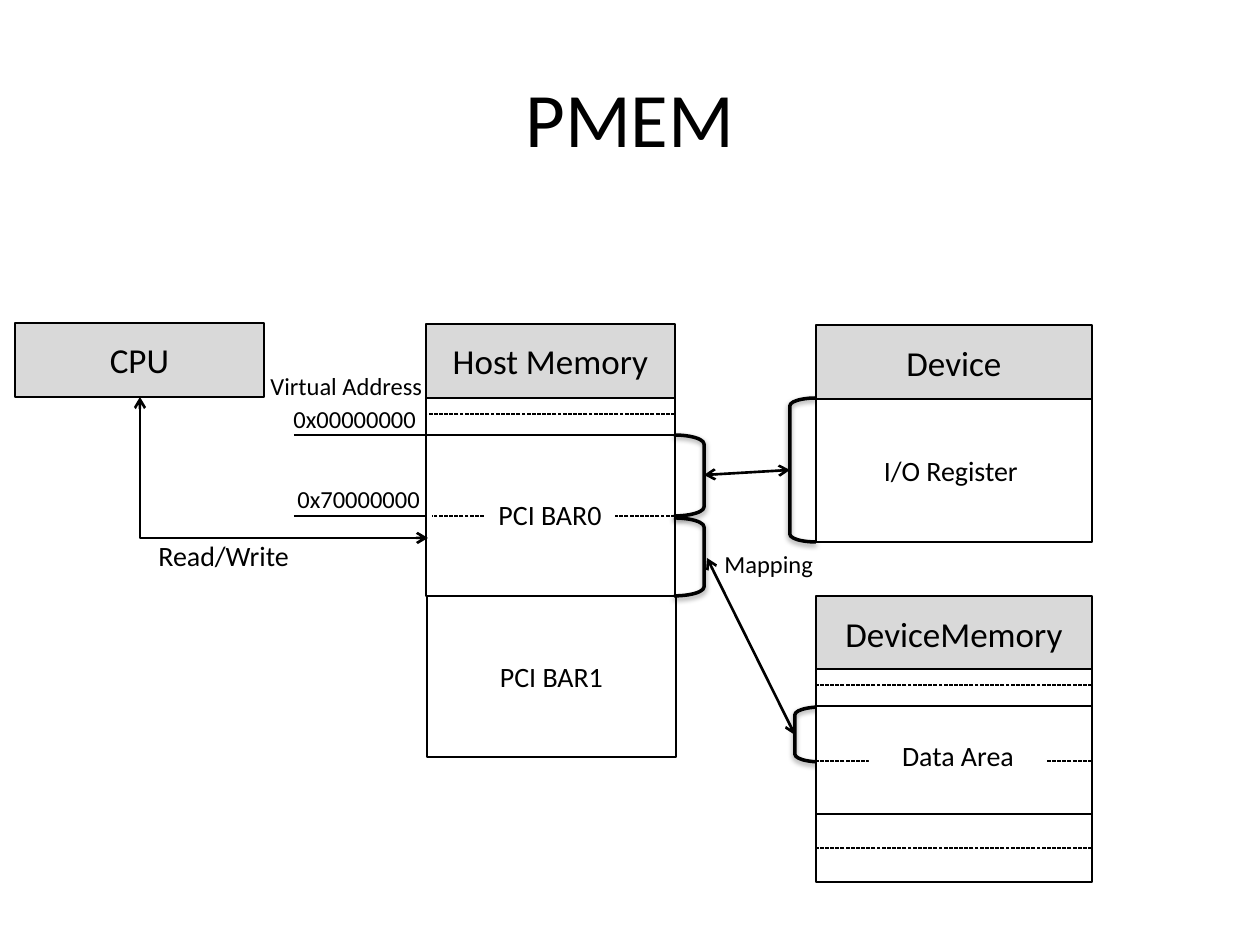
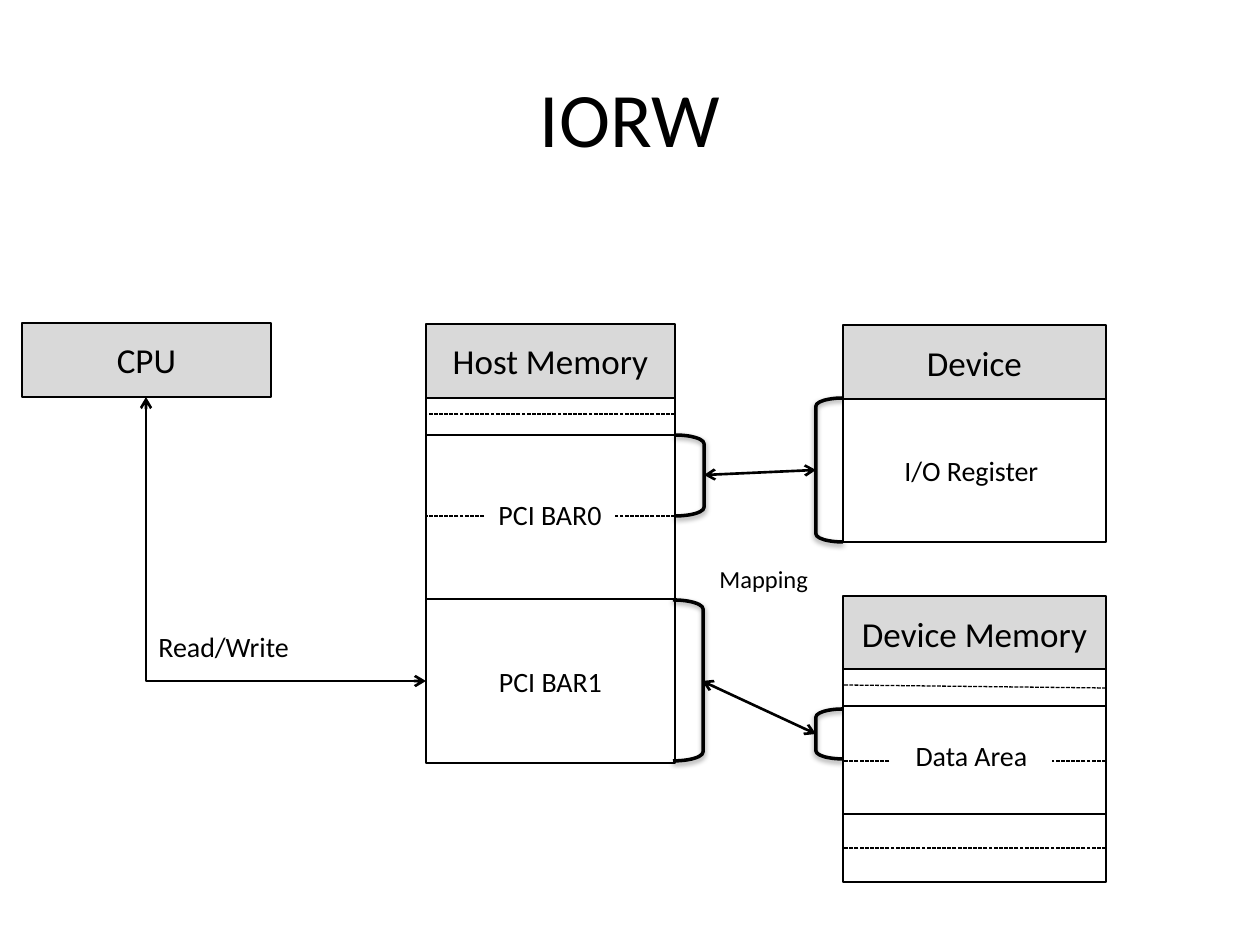
from dataclasses import dataclass
from typing import NamedTuple

from lxml.etree import SubElement
from pptx import Presentation
from pptx.dml.color import RGBColor
from pptx.enum.dml import MSO_LINE_DASH_STYLE as Dash
from pptx.enum.shapes import MSO_CONNECTOR as Link, MSO_SHAPE as Preset
from pptx.enum.text import MSO_ANCHOR as Anchor, MSO_AUTO_SIZE as AutoSize, PP_ALIGN as Align
from pptx.oxml.ns import qn
from pptx.util import Emu, Inches, Pt

PIXELS_PER_INCH = 126
COLORS = {"ink": "000000", "header": "D9D9D9", "paper": "FFFFFF"}
FONT = "Calibri"
HEADER_SIZE, CELL_SIZE, NOTE_SIZE = 20, 16, 14
HEADER_HEIGHT, GAP_HEIGHT, MASK_HEIGHT = 74, 37, 47
HOST_LEFT, HOST_WIDTH, HOST_TOP = 426, 249, 324
BAR_TOP = HOST_TOP + HEADER_HEIGHT + GAP_HEIGHT
MEMORY_TOP, DATA_TOP, DATA_BOTTOM, MEMORY_BOTTOM = 596, 706, 814, 882


class Area(NamedTuple):
    """A rectangle in pixels."""
    left: int
    top: int
    width: int
    height: int


class Segment(NamedTuple):
    """A line from one point to another, in pixels."""
    x1: int
    y1: int
    x2: int
    y2: int


class Label(NamedTuple):
    """A free text with its place and size."""
    text: str
    area: Area
    size: int = NOTE_SIZE


@dataclass
class Scene:
    """What differs between the two memory maps."""
    title: str
    cpu_left: int
    device_left: int
    device_width: int
    memory_name: str
    bar_height: int
    bar1_left: int
    data_mask: Area
    right_brackets: list[Area]
    left_brackets: list[Area]
    labels: list[Label]
    arrows: list[Segment]
    access: Segment
    host_dashes: list[Segment]
    memory_dash_drop: int
    address_lines: list[Segment]


def px(value: float) -> Emu:
    """Turn pixels into EMU."""
    return Emu(round(value * Inches(1) / PIXELS_PER_INCH))


def color(name: str) -> RGBColor:
    """Look up a colour by name."""
    return RGBColor.from_string(COLORS[name])


def write(box, text: str, size: int, align=Align.CENTER) -> None:
    """Put one formatted paragraph into a shape."""
    paragraph = box.text_frame.paragraphs[0]
    paragraph.text = text
    paragraph.alignment = align
    paragraph.font.name = FONT
    paragraph.font.size = Pt(size)
    paragraph.font.color.rgb = color("ink")


def add_title(page, text: str) -> None:
    """Fill and place the title placeholder."""
    title = page.shapes.title
    title.left, title.top, title.width, title.height = map(px, (63, 38, 1134, 157))
    title.text_frame.vertical_anchor = Anchor.MIDDLE
    write(title, text, 44)


def add_box(page, area: Area, text: str = "", size: int = CELL_SIZE,
            fill: str | None = "paper", outlined: bool = True) -> None:
    """Draw a rectangle with optional centred text."""
    box = page.shapes.add_shape(Preset.RECTANGLE, *map(px, area))
    box.shadow.inherit = False
    if fill:
        box.fill.solid()
        box.fill.fore_color.rgb = color(fill)
    else:
        box.fill.background()
    if outlined:
        box.line.color.rgb = color("ink")
        box.line.width = Pt(1)
    else:
        box.line.fill.background()
    if text:
        box.text_frame.vertical_anchor = Anchor.MIDDLE
        write(box, text, size)


def add_header(page, left: int, top: int, width: int, text: str) -> None:
    """Draw a grey heading box."""
    add_box(page, Area(left, top, width, HEADER_HEIGHT), text, HEADER_SIZE, "header")


def add_label(page, label: Label) -> None:
    """Write a text that does not wrap."""
    box = page.shapes.add_textbox(*map(px, label.area))
    box.text_frame.word_wrap = False
    box.text_frame.auto_size = AutoSize.SHAPE_TO_FIT_TEXT
    write(box, label.text, label.size, Align.LEFT)


def add_bracket(page, area: Area, mirrored: bool = False) -> None:
    """Draw a bracket with a soft shadow below it."""
    bracket = page.shapes.add_shape(Preset.RIGHT_BRACKET, *map(px, area))
    bracket.adjustments[0] = 0.298
    bracket.fill.background()
    bracket.line.color.rgb = color("ink")
    bracket.line.width = Pt(2)
    bracket.shadow.inherit = False
    properties = bracket._element.spPr
    if mirrored:
        properties.find(qn("a:xfrm")).set("flipH", "1")
    shadow = SubElement(properties.find(qn("a:effectLst")), qn("a:outerShdw"),
                        blurRad=str(Pt(3.1)), dist=str(Pt(1.6)), dir="5400000", rotWithShape="0")
    tint = SubElement(shadow, qn("a:srgbClr"), val=COLORS["ink"])
    SubElement(tint, qn("a:alpha"), val="38000")


def add_line(page, ends: Segment, width: float = 1, dashed: bool = False,
             arrows: bool = False, kind=Link.STRAIGHT):
    """Draw a connector, dashed or with an arrowhead at both ends."""
    line = page.shapes.add_connector(kind, *map(px, ends))
    line.line.color.rgb = color("ink")
    line.line.width = Pt(width)
    if dashed:
        line.line.dash_style = Dash.SQUARE_DOT
    properties = line._element.spPr
    if arrows:
        stroke = properties.find(qn("a:ln"))
        for tag in ("a:headEnd", "a:tailEnd"):
            SubElement(stroke, qn(tag), type="arrow")
    SubElement(properties, qn("a:effectLst"))
    return line


def add_access_arrow(page, ends: Segment) -> None:
    """Draw an arrow that goes down and then right: a turned one-bend connector."""
    middle_x, middle_y = (ends.x1 + ends.x2) / 2, (ends.y1 + ends.y2) / 2
    half_width, half_height = (ends.y2 - ends.y1) / 2, (ends.x2 - ends.x1) / 2
    turned = Segment(middle_x + half_width, middle_y - half_height,
                     middle_x - half_width, middle_y + half_height)
    line = add_line(page, turned, 1.5, arrows=True, kind=Link.ELBOW)
    properties = line._element.spPr
    properties.find(qn("a:xfrm")).set("rot", "16200000")
    properties.find(qn("a:prstGeom")).set("prst", "bentConnector2")


def add_host(page, scene: Scene) -> None:
    """Draw the host memory column."""
    gap_top = HOST_TOP + HEADER_HEIGHT
    add_header(page, HOST_LEFT, HOST_TOP, HOST_WIDTH, "Host Memory")
    add_box(page, Area(HOST_LEFT, gap_top, HOST_WIDTH, GAP_HEIGHT))
    add_box(page, Area(HOST_LEFT, BAR_TOP, HOST_WIDTH, scene.bar_height), fill=None)
    add_box(page, Area(scene.bar1_left, BAR_TOP + scene.bar_height, HOST_WIDTH, scene.bar_height),
            "PCI BAR1", fill=None)
    for dash in scene.host_dashes:
        add_line(page, dash, 0.75, dashed=True)
    add_box(page, Area(485, 491, 130, MASK_HEIGHT), "PCI BAR0", outlined=False)


def add_device(page, scene: Scene) -> None:
    """Draw the device and its memory."""
    left, width = scene.device_left, scene.device_width
    add_box(page, Area(left, 399, width, 143), "I/O Register ")
    add_header(page, left, 325, width, "Device")
    add_box(page, Area(left, DATA_TOP, width, DATA_BOTTOM - DATA_TOP))
    add_box(page, Area(left, DATA_BOTTOM, width, MEMORY_BOTTOM - DATA_BOTTOM))
    add_header(page, left, MEMORY_TOP, width, scene.memory_name)
    add_box(page, Area(left, DATA_TOP - GAP_HEIGHT, width, GAP_HEIGHT))
    for y, drop in ((685, scene.memory_dash_drop), (761, 0), (848, 0)):
        add_line(page, Segment(left + width, y + drop, left, y), 0.75, dashed=True)
    add_box(page, scene.data_mask, "Data Area", outlined=False)


def draw(deck, scene: Scene) -> None:
    """Build one slide."""
    page = deck.slides.add_slide(deck.slide_layouts[5])
    add_title(page, scene.title)
    add_header(page, scene.cpu_left, 323, HOST_WIDTH, "CPU")
    add_host(page, scene)
    for area in scene.right_brackets:
        add_bracket(page, area)
    for area in scene.left_brackets:
        add_bracket(page, area, mirrored=True)
    add_device(page, scene)
    for segment in scene.address_lines:
        add_line(page, segment)
    for segment in scene.arrows:
        add_line(page, segment, 1.5, arrows=True)
    add_access_arrow(page, scene.access)
    for label in scene.labels:
        add_label(page, label)


SCENES = [
    Scene(
        title="PMEM", cpu_left=15, device_left=816, device_width=276,
        memory_name="DeviceMemory", bar_height=161, bar1_left=427,
        data_mask=Area(869, 732, 178, MASK_HEIGHT),
        right_brackets=[Area(674, 435, 30, 81), Area(674, 518, 30, 78)],
        left_brackets=[Area(790, 398, 26, 144), Area(795, 707, 26, 55)],
        labels=[
            Label("Mapping", Area(712, 543, 115, 43)),
            Label("0x00000000", Area(281, 398, 149, 43)),
            Label("Virtual Address", Area(258, 365, 179, 43)),
            Label("0x70000000", Area(285, 478, 149, 43)),
            Label("Read/Write", Area(146, 532, 159, 47), CELL_SIZE),
        ],
        arrows=[Segment(790, 470, 704, 475), Segment(795, 735, 707, 558)],
        access=Segment(140, 397, 428, 538),
        host_dashes=[Segment(675, 414, 426, 414), Segment(680, 516, 432, 516)],
        memory_dash_drop=0,
        address_lines=[Segment(294, 435, 427, 435), Segment(294, 516, 426, 516)],
    ),
    Scene(
        title="IORW", cpu_left=22, device_left=843, device_width=263,
        memory_name="Device Memory", bar_height=164, bar1_left=HOST_LEFT,
        data_mask=Area(891, 732, 161, MASK_HEIGHT),
        right_brackets=[Area(675, 435, 29, 81), Area(673, 600, 30, 161)],
        left_brackets=[Area(816, 398, 27, 144), Area(816, 709, 27, 50)],
        labels=[
            Label("Mapping", Area(707, 558, 115, 43)),
            Label("Read/Write", Area(146, 623, 159, 47), CELL_SIZE),
        ],
        arrows=[Segment(816, 470, 704, 475), Segment(816, 734, 702, 681)],
        access=Segment(146, 397, 426, 681),
        host_dashes=[Segment(675, 414, 426, 414), Segment(675, 516, 427, 516)],
        memory_dash_drop=3,
        address_lines=[],
    ),
]


def main() -> None:
    """Build and save the deck."""
    deck = Presentation()
    deck.slide_width, deck.slide_height = Inches(10), Inches(7.5)
    for scene in SCENES:
        draw(deck, scene)
    deck.save("out.pptx")


main()
